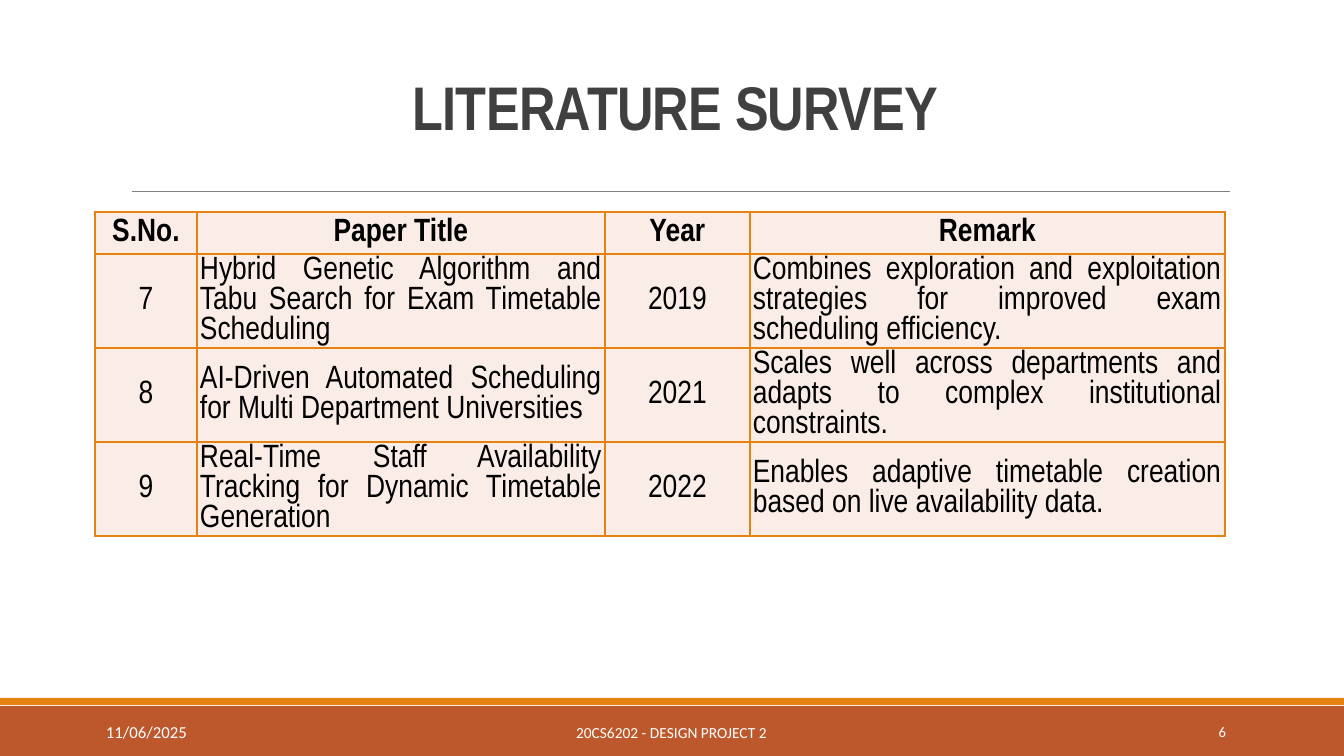
from lxml import etree
from pptx import Presentation
from pptx import util as u
from pptx.dml.color import RGBColor
from pptx.enum import shapes, text
from pptx.oxml import ns

EMU_PER_PX = 914400 / 100.8
ORANGE, RUST, BLUSH = "E48312", "BD582C", "FAEDE7"
BLACK, CHARCOAL, GREY, WHITE = "000000", "404040", "808080", "FFFFFF"
LEFT, CENTER, RIGHT, JUSTIFY = (
    text.PP_ALIGN.LEFT, text.PP_ALIGN.CENTER, text.PP_ALIGN.RIGHT, text.PP_ALIGN.JUSTIFY)
TOP, MIDDLE = text.MSO_ANCHOR.TOP, text.MSO_ANCHOR.MIDDLE

COLUMN_WIDTHS = [102, 408, 145, 475]
COLUMN_ALIGNMENTS = [CENTER, JUSTIFY, CENTER, JUSTIFY]
HEADER_HEIGHT, PAPER_HEIGHT = 42, 94
SURVEY = [
    ("S.No.", "Paper Title", "Year", "Remark"),
    ("7", "Hybrid Genetic Algorithm and Tabu Search for Exam Timetable Scheduling", "2019",
     "Combines exploration and exploitation strategies for improved exam scheduling efficiency."),
    ("8", "AI-Driven Automated Scheduling for Multi Department Universities", "2021",
     "Scales well across departments and adapts to complex institutional constraints."),
    ("9", "Real-Time Staff Availability Tracking for Dynamic Timetable Generation", "2022",
     "Enables adaptive timetable creation based on live availability data."),
]


def px(length):
    return u.Emu(round(length * EMU_PER_PX))


def color(hex_string):
    return RGBColor.from_string(hex_string)


class SurveySlide:
    heading_font = "Arial Narrow"
    footer_font = "Calibri"

    def __init__(self, presentation):
        self.slide = presentation.slides.add_slide(presentation.slide_layouts[5])
        self.shapes = self.slide.shapes

    def format_paragraph(self, paragraph, font, size, hex_color, align, bold=False):
        paragraph.alignment = align
        paragraph.font.name = font
        paragraph.font.size = u.Pt(size)
        paragraph.font.bold = bold
        paragraph.font.color.rgb = color(hex_color)

    def bar(self, left, top, width, height, fill):
        band = self.shapes.add_shape(
            shapes.MSO_SHAPE.RECTANGLE, px(left), px(top), px(width), px(height))
        band.shadow.inherit = False
        band.fill.solid()
        band.fill.fore_color.rgb = color(fill)
        band.line.fill.background()

    def rule(self, left, right, y):
        divider = self.shapes.add_connector(
            shapes.MSO_CONNECTOR.STRAIGHT, px(left), px(y), px(right), px(y))
        divider.line.color.rgb = color(GREY)
        divider.line.width = u.Pt(0.5)
        etree.SubElement(divider._element.spPr, ns.qn("a:effectLst"))

    def title(self, wording, left, top, width, height):
        heading = self.shapes.title
        heading.left, heading.top = px(left), px(top)
        heading.width, heading.height = px(width), px(height)
        frame = heading.text_frame
        frame.text = wording
        frame.auto_size = text.MSO_AUTO_SIZE.NONE
        frame.vertical_anchor = MIDDLE
        paragraph = frame.paragraphs[0]
        paragraph.line_spacing = 0.85
        self.format_paragraph(paragraph, self.heading_font, 44, CHARCOAL, CENTER, bold=True)
        paragraph.runs[0]._r.get_or_add_rPr().set("spc", "-50")

    def footer(self, wording, left, top, width, height, size, align, anchor=MIDDLE):
        box = self.shapes.add_textbox(px(left), px(top), px(width), px(height))
        frame = box.text_frame
        frame.word_wrap = True
        frame.vertical_anchor = anchor
        frame.text = wording
        self.format_paragraph(frame.paragraphs[0], self.footer_font, size, WHITE, align)

    def outline_cell(self, cell):
        properties = cell._tc.get_or_add_tcPr()
        for side in ("lnL", "lnR", "lnT", "lnB"):
            edge = etree.SubElement(properties, ns.qn(f"a:{side}"), w=str(u.Pt(1)))
            fill = etree.SubElement(edge, ns.qn("a:solidFill"))
            etree.SubElement(fill, ns.qn("a:srgbClr"), val=ORANGE)

    def table(self, rows, left, top):
        heights = [HEADER_HEIGHT] + [PAPER_HEIGHT] * (len(rows) - 1)
        grid = self.shapes.add_table(
            len(rows), len(COLUMN_WIDTHS), px(left), px(top),
            px(sum(COLUMN_WIDTHS)), px(sum(heights))).table
        for column, width in zip(grid.columns, COLUMN_WIDTHS):
            column.width = px(width)
        for row_index, (entries, height) in enumerate(zip(rows, heights)):
            grid.rows[row_index].height = px(height)
            is_header = row_index == 0
            for column_index, entry in enumerate(entries):
                cell = grid.cell(row_index, column_index)
                cell.text = entry
                cell.vertical_anchor = MIDDLE
                cell.margin_left = cell.margin_right = px(3)
                cell.margin_top = cell.margin_bottom = px(1)
                self.outline_cell(cell)
                cell.fill.solid()
                cell.fill.fore_color.rgb = color(BLUSH)
                align = CENTER if is_header else COLUMN_ALIGNMENTS[column_index]
                self.format_paragraph(
                    cell.text_frame.paragraphs[0], self.heading_font, 23, BLACK, align,
                    bold=is_header)


def main():
    presentation = Presentation()
    presentation.slide_width, presentation.slide_height = px(1344), px(756)
    survey = SurveySlide(presentation)
    survey.bar(0, 706, 1344, 50, RUST)
    survey.bar(0, 698, 1344, 7, ORANGE)
    survey.rule(132, 1230, 191)
    survey.table(SURVEY, 95, 212)
    survey.title("LITERATURE SURVEY", 121, 32, 1109, 160)
    survey.footer("20CS6202 - DESIGN PROJECT 2", 406, 712, 531, 40, 11, CENTER)
    survey.footer("6", 1092, 712, 144, 40, 10.5, RIGHT)
    survey.footer("11/06/2025", 96, 717, 261, 30, 12, LEFT, anchor=TOP)
    presentation.save("out.pptx")


if __name__ == "__main__":
    main()
